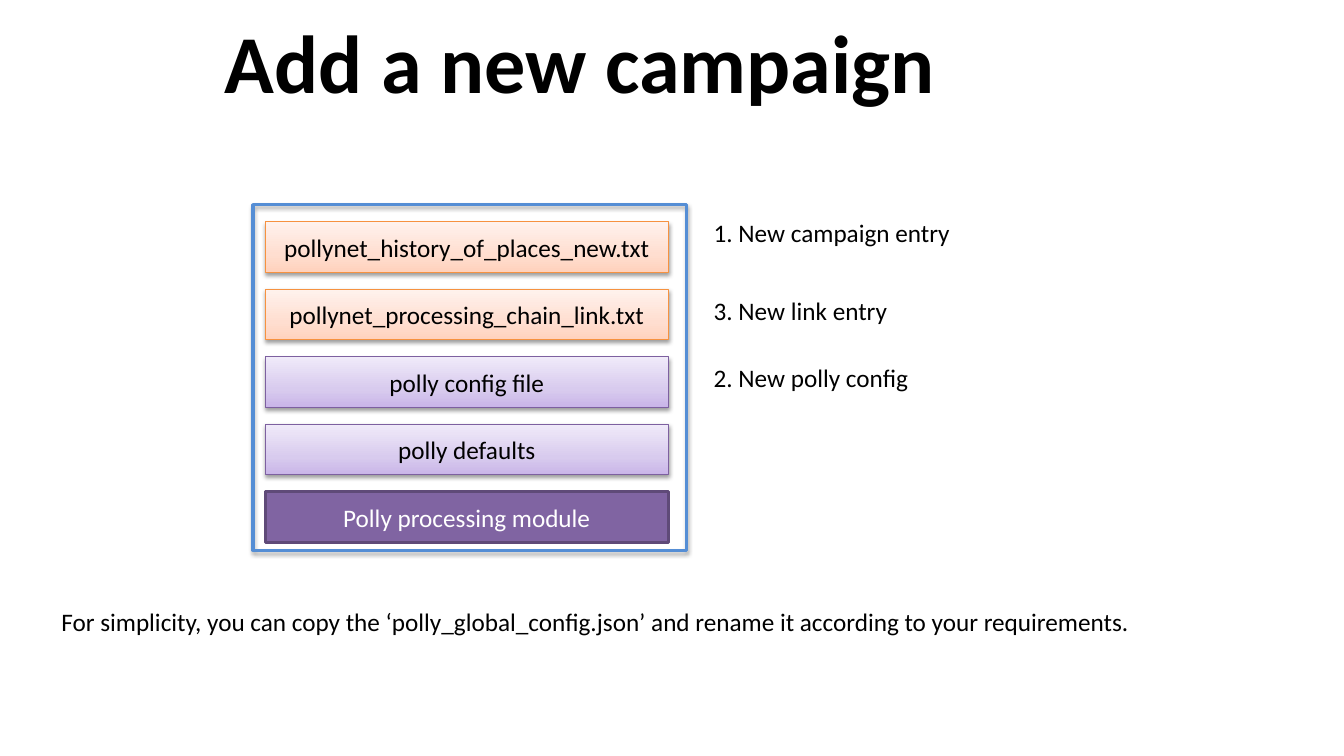
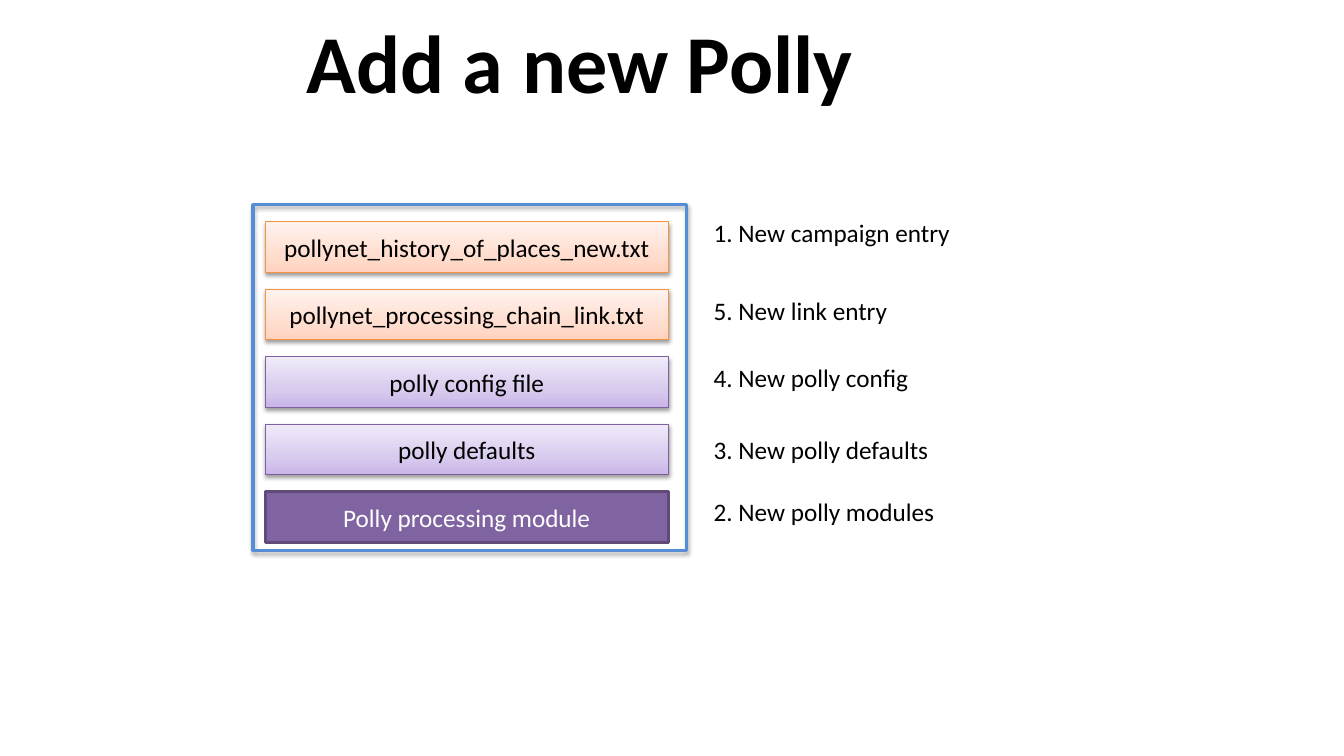
from pptx import Presentation
from pptx.dml.color import RGBColor
from pptx.enum.shapes import MSO_SHAPE
from pptx.enum.text import MSO_ANCHOR, MSO_AUTO_SIZE, PP_ALIGN
from pptx.oxml.ns import qn
from pptx.util import Inches, Pt
from lxml import etree

RECT = MSO_SHAPE.RECTANGLE
MIDDLE = MSO_ANCHOR.MIDDLE
FIXED = MSO_AUTO_SIZE.NONE
CENTER = PP_ALIGN.CENTER
LEFT = PP_ALIGN.LEFT
TITLE_ONLY = 5

FONT = "Calibri"
BLACK, WHITE, FRAME_BLUE = "000000", "FFFFFF", "558ED5"

# Layer styles: fill (a colour, or gradient stops), line, line width, text colour
ORANGE = ([(0, "FFD2BD"), (35, "FFDED0"), (100, "FFF2ED")], "F69240", 0.75, BLACK)
LILAC = ([(0, "C9B5E8"), (35, "D8CBEE"), (100, "F0EAF9")], "7D60A0", 0.75, BLACK)
PURPLE = ("8064A2", "5F4A78", 2, WHITE)

LAYERS = [
    ("pollynet_history_of_places_new.txt", ORANGE),
    ("pollynet_processing_chain_link.txt", ORANGE),
    ("polly config file", LILAC),
    ("polly defaults", LILAC),
    ("Polly processing module", PURPLE),
]
STACK_BOX = (2.51, 2.03, 4.3, 3.43)
LAYER_PITCH = 0.67
STEP_OFFSETS = [0.08, 0.85, 1.52, 2.23, 2.84]

SLIDES = [
    ("Add a new campaign",
     ["1. New campaign entry", "3. New link entry", "2. New polly config"],
     "For simplicity, you can copy the ‘polly_global_config.json’ "
     "and rename it according to your requirements."),
    ("Add a new Polly",
     ["1. New campaign entry", "5. New link entry", "4. New polly config",
      "3. New polly defaults", "2. New polly modules"],
     None),
]


def rgb(color):
    return RGBColor.from_string(color)


def write(frame, text, color=BLACK, size=18, bold=False, align=LEFT):
    frame.text = text
    frame.word_wrap = True
    paragraph = frame.paragraphs[0]
    paragraph.alignment = align
    font = paragraph.runs[0].font
    font.name, font.size, font.bold = FONT, Pt(size), bold
    font.color.rgb = rgb(color)


def add_color(parent, color):
    return etree.SubElement(parent, qn("a:srgbClr"), val=color)


def set_gradient(shape, stops):
    shape.fill.gradient()
    shape.fill.gradient_angle = 90
    stop_list = shape._element.spPr.find(".//" + qn("a:gsLst"))
    for old_stop in list(stop_list):
        stop_list.remove(old_stop)
    for percent, color in stops:
        add_color(etree.SubElement(stop_list, qn("a:gs"), pos=str(percent * 1000)), color)


def add_shadow(shape, opacity, distance):
    effects = shape._element.spPr.find(qn("a:effectLst"))
    shadow = etree.SubElement(
        effects, qn("a:outerShdw"), blurRad=str(Pt(3.1)), dist=str(Pt(distance)),
        dir="5400000", rotWithShape="0")
    etree.SubElement(add_color(shadow, BLACK), qn("a:alpha"), val=str(opacity * 1000))


def add_box(shapes, box, line, width):
    shape = shapes.add_shape(RECT, *map(Inches, box))
    shape.shadow.inherit = False
    shape.line.color.rgb = rgb(line)
    shape.line.width = Pt(width)
    return shape


def add_text(shapes, box, text):
    write(shapes.add_textbox(*map(Inches, box)).text_frame, text)


def add_title(slide, text):
    title = slide.shapes.title
    title.left, title.top, title.width, title.height = map(Inches, (0, 0, 11.5, 1.2))
    title.text_frame.vertical_anchor = MIDDLE
    title.text_frame.auto_size = FIXED
    write(title.text_frame, text, size=58.7, bold=True, align=CENTER)


def add_layer(shapes, box, text, style):
    fill, line, width, color = style
    layer = add_box(shapes, box, line, width)
    if isinstance(fill, str):
        layer.fill.solid()
        layer.fill.fore_color.rgb = rgb(fill)
    else:
        set_gradient(layer, fill)
        add_shadow(layer, opacity=38, distance=1.6)
    layer.text_frame.vertical_anchor = MIDDLE
    write(layer.text_frame, text, color, align=CENTER)


def add_stack(slide, box):
    """Framed stack of configuration layers."""
    left, top, width, height = box
    shapes = slide.shapes.add_group_shape().shapes
    for row, (text, style) in enumerate(LAYERS):
        layer_box = (left + 0.12, top + 0.17 + row * LAYER_PITCH, width - 0.3, 0.5)
        add_layer(shapes, layer_box, text, style)
    frame = add_box(shapes, box, FRAME_BLUE, 2.25)
    frame.fill.background()
    add_shadow(frame, opacity=35, distance=1.8)


def add_steps(slide, box, steps):
    """Numbered steps to the right of the stack."""
    left, top, width, _ = box
    shapes = slide.shapes.add_group_shape().shapes
    for offset, step in zip(STEP_OFFSETS, steps):
        add_text(shapes, (left + width + 0.17, top + offset, 3.39, 0.4), step)


def add_guide_slide(prs, title, steps, hint):
    slide = prs.slides.add_slide(prs.slide_layouts[TITLE_ONLY])
    add_title(slide, title)
    add_steps(slide, STACK_BOX, steps)
    add_stack(slide, STACK_BOX)
    if hint:
        add_text(slide.shapes, (0.51, 5.97, 12.24, 0.4), hint)


def main():
    prs = Presentation()
    prs.slide_width, prs.slide_height = Inches(13.33), Inches(7.5)
    for title, steps, hint in SLIDES:
        add_guide_slide(prs, title, steps, hint)
    prs.save("out.pptx")


if __name__ == "__main__":
    main()
